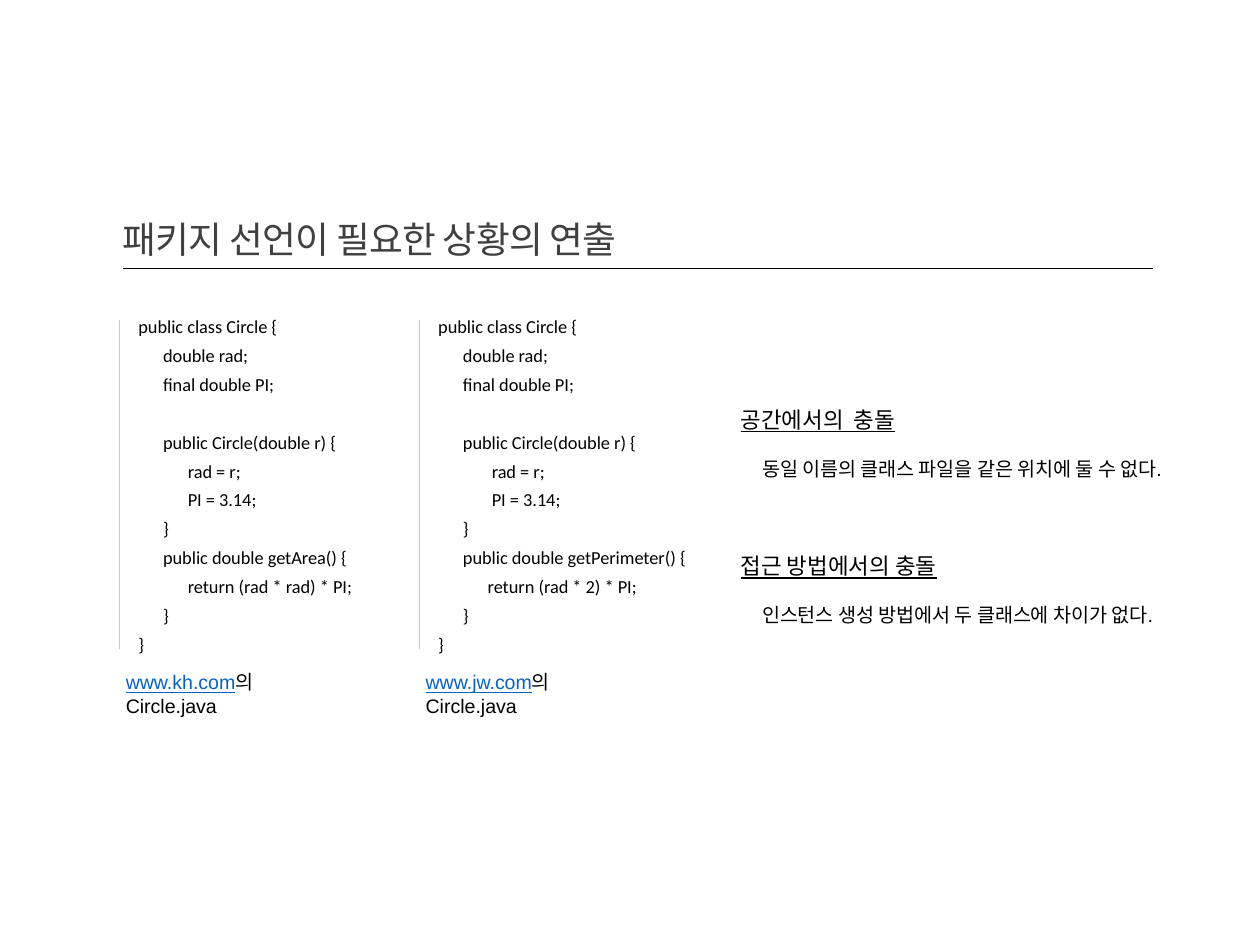
import pptx
import pptx.dml.color
import pptx.enum.shapes
import pptx.enum.text
import pptx.oxml
import pptx.oxml.ns
import pptx.util

COLUMNS, ROWS = 100, 75
INK, TITLE, LINK, RULE = "000000", "404040", "0563C1", "C9C9C9"


def color(value):
    return pptx.dml.color.RGBColor.from_string(value)


class SlideBuilder:
    def __init__(self, presentation):
        self.slide = presentation.slides.add_slide(presentation.slide_layouts[6])
        self.column = presentation.slide_width / COLUMNS
        self.row = presentation.slide_height / ROWS

    def place(self, left, top, width, height):
        return (round(left * self.column), round(top * self.row),
                round(width * self.column), round(height * self.row))

    def box(self, *place):
        shape = self.slide.shapes.add_textbox(*self.place(*place))
        shape.text_frame.word_wrap = True
        return shape.text_frame

    def paragraph(self, frame, text, size, font, line=1.0, ink=INK, indent=0):
        paragraph = frame.paragraphs[0]
        if paragraph.runs:
            paragraph = frame.add_paragraph()
        if text:
            paragraph.add_run().text = text
        if indent:
            paragraph._p.get_or_add_pPr().set("marL", str(round(indent * self.column)))
        paragraph.line_spacing = line
        paragraph.font.size = pptx.util.Pt(size)
        paragraph.font.name = font
        paragraph.font.color.rgb = color(ink)
        return paragraph

    def title(self, text, *place):
        frame = self.box(*place)
        frame.vertical_anchor = pptx.enum.text.MSO_ANCHOR.BOTTOM
        frame.margin_left = frame.margin_right = pptx.util.Inches(0.07)
        frame.margin_top = frame.margin_bottom = pptx.util.Inches(0.04)
        paragraph = self.paragraph(frame, text, 21, "Calibri", 0.85, TITLE)
        paragraph.runs[0]._r.get_or_add_rPr().set("spc", "-40")

    def code(self, lines, *place):
        frame = self.box(*place)
        for line in lines:
            self.paragraph(frame, line, 10.5, "Calibri", pptx.util.Pt(16.5))

    def caption(self, address, text, *place):
        paragraph = self.paragraph(self.box(*place), address, 11.2, "Arial")
        link = paragraph.runs[0].font
        link.color.rgb = color(LINK)
        link.underline = True
        paragraph.add_run().text = text

    def notes(self, entries, *place):
        frame = self.box(*place)
        for position, (heading, detail) in enumerate(entries):
            paragraph = self.paragraph(frame, heading, 12.8, "Arial", 2.0)
            paragraph.font.underline = True
            if position:
                paragraph.space_before = pptx.util.Pt(26)
            self.paragraph(frame, detail, 11.2, "Arial", 2.0, indent=1.7)

    def line(self, left, top, width, height, ink):
        x, y, across, down = self.place(left, top, width, height)
        connector = self.slide.shapes.add_connector(
            pptx.enum.shapes.MSO_CONNECTOR.STRAIGHT, x, y, x + across, y + down)
        connector.line.color.rgb = color(ink)
        connector.line.width = pptx.util.Pt(0.5)
        connector._element.spPr.append(pptx.oxml.parse_xml(
            f"<a:effectLst {pptx.oxml.ns.nsdecls('a')}/>"))


def circle_source(method, result, assignment_indent):
    member, statement = " " * 6, " " * 12
    assignment = " " * assignment_indent
    return [
        "public class Circle {",
        f"{member}double rad;",
        f"{member}final double PI;",
        "",
        f"{member}public Circle(double r) {{",
        f"{assignment}rad = r;",
        f"{assignment}PI = 3.14;",
        f"{member}}}",
        f"{member}public double {method}() {{",
        f"{statement}return {result} * PI;",
        f"{member}}}",
        "}",
    ]


def main():
    presentation = pptx.Presentation()
    presentation.slide_width = pptx.util.Inches(10)
    presentation.slide_height = pptx.util.Inches(7.5)
    builder = SlideBuilder(presentation)

    builder.title("패키지 선언이 필요한 상황의 연출", 9, 11.7, 82.5, 9.4)
    builder.line(9.8, 21.3, 81.7, 0, INK)

    versions = [
        (9.5, "www.kh.com", circle_source("getArea", "(rad * rad)", 12)),
        (33.3, "www.jw.com", circle_source("getPerimeter", "(rad * 2)", 13)),
    ]
    for left, address, source in versions:
        builder.line(left, 25.4, 0, 26.1, RULE)
        builder.code(source, left + 0.5, 24, 25, 29.4)
        builder.caption(address, "의 Circle.java", left - 0.5, 52.7, 19, 2.9)

    builder.notes([
        ("공간에서의  충돌", "동일 이름의 클래스 파일을 같은 위치에 둘 수 없다."),
        ("접근 방법에서의 충돌", "인스턴스 생성 방법에서 두 클래스에 차이가 없다."),
    ], 57.8, 29.6, 37.4, 24.2)

    presentation.save("out.pptx")


if __name__ == "__main__":
    main()
